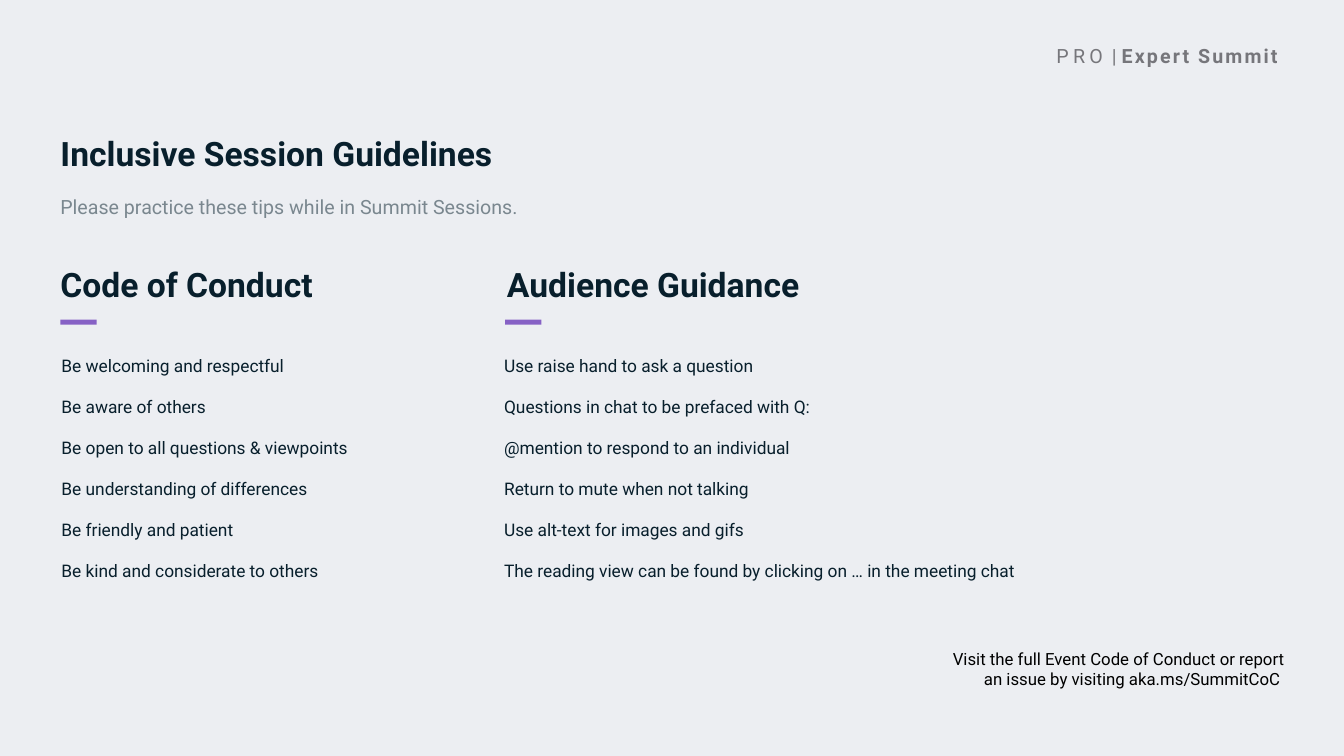
from dataclasses import dataclass

from lxml import etree
from pptx import Presentation
from pptx.dml.color import RGBColor
from pptx.enum import shapes, text
from pptx.oxml import ns
from pptx.util import Inches, Pt

FACE = "Roboto"
NAVY = RGBColor(0x08, 0x1F, 0x2C)
SLATE = RGBColor(0x7A, 0x87, 0x8F)
GRAY = RGBColor(0x76, 0x76, 0x7B)
BLACK = RGBColor(0, 0, 0)
PURPLE = RGBColor(0x86, 0x61, 0xC5)
PALE = RGBColor(0xEC, 0xEE, 0xF2)


@dataclass
class Column:
    title: str
    left: float
    bar: float
    list_left: float
    list_width: float
    items: list[str]


COLUMNS = [
    Column("Code of Conduct", 0.5, 0.6, 0.51, 3.94, [
        "Be welcoming and respectful",
        "Be aware of others",
        "Be open to all questions & viewpoints",
        "Be understanding of differences",
        "Be friendly and patient",
        "Be kind and considerate to others",
    ]),
    Column("Audience Guidance", 4.93, 5.01, 4.9, 7.57, [
        "Use raise hand to ask a question",
        "Questions in chat to be prefaced with Q:",
        "@mention to respond to an individual",
        "Return to mute when not talking",
        "Use alt-text for images and gifs",
        "The reading view can be found by clicking on … in the meeting chat",
    ]),
]


def style(para, size: float, color: RGBColor, bold: bool = False) -> None:
    font = para.font
    font.name, font.size, font.bold = FACE, Pt(size), bold
    font.color.rgb = color


def place(shape, left: float, top: float, width: float, height: float) -> None:
    shape.left, shape.top = Inches(left), Inches(top)
    shape.width, shape.height = Inches(width), Inches(height)


def add_box(slide, left: float, top: float, width: float, height: float):
    box = slide.shapes.add_textbox(
        Inches(left), Inches(top), Inches(width), Inches(height))
    box.text_frame.word_wrap = True
    return box


def fill_line(shape, words: str, size: float, color: RGBColor, bold: bool) -> None:
    frame = shape.text_frame
    frame.text = words
    frame.auto_size = text.MSO_AUTO_SIZE.NONE
    frame.vertical_anchor = text.MSO_ANCHOR.MIDDLE
    para = frame.paragraphs[0]
    para.alignment = text.PP_ALIGN.LEFT
    para.line_spacing = 0.9
    style(para, size, color, bold)


def fill_list(shape, items: list[str]) -> None:
    frame = shape.text_frame
    frame.text = "\n".join(items)
    frame.auto_size = text.MSO_AUTO_SIZE.NONE
    frame.vertical_anchor = text.MSO_ANCHOR.TOP
    for row, para in enumerate(frame.paragraphs):
        para.line_spacing = 1.3
        para.space_before = Pt(10 if row else 0)
        props = para._p.get_or_add_pPr()
        props.set("marL", "0")
        props.set("indent", "0")
        etree.SubElement(props, ns.qn("a:buNone"))
        style(para, 12.4, NAVY)


def add_column(slide, holder, col: Column) -> None:
    head = add_box(slide, col.left, 2.53, 5.08, 0.62)
    fill_line(head, col.title, 24, NAVY, True)
    place(holder, col.list_left, 3.41, col.list_width, 2.5)
    fill_list(holder, col.items)
    bar = slide.shapes.add_shape(
        shapes.MSO_SHAPE.RECTANGLE,
        Inches(col.bar), Inches(3.17), Inches(0.36), Inches(0.05))
    bar.shadow.inherit = False
    bar.fill.solid()
    bar.fill.fore_color.rgb = PURPLE
    bar.line.fill.background()


def add_header(slide) -> None:
    frame = add_box(slide, 10.38, 0.39, 2.54, 0.34).text_frame
    frame.word_wrap = False
    para = frame.paragraphs[0]
    style(para, 14, GRAY)
    for words, gap, bold in (
            ("PRO", 3, False), (" | ", 0, False), ("Expert Summit", 1.5, True)):
        run = para.add_run()
        run.text = words
        run.font.bold = bold
        run._r.get_or_add_rPr().set("spc", str(int(gap * 100)))


def main() -> None:
    deck = Presentation()
    deck.slide_width, deck.slide_height = Inches(13.33), Inches(7.5)
    slide = deck.slides.add_slide(deck.slide_layouts.get_by_name("Two Content"))
    slide.background.fill.solid()
    slide.background.fill.fore_color.rgb = PALE

    # Header and title
    add_header(slide)
    title, *lists = slide.placeholders
    place(title, 0.5, 1.23, 12.33, 0.62)
    fill_line(title, "Inclusive Session Guidelines", 24, NAVY, True)
    intro = add_box(slide, 0.5, 1.87, 12.33, 0.4)
    fill_line(intro, "Please practice these tips while in Summit Sessions.",
              14, SLATE, False)

    # Guideline columns
    for holder, col in zip(lists, COLUMNS):
        add_column(slide, holder, col)

    # Closing note
    note = add_box(slide, 9.26, 6.39, 3.58, 0.74).text_frame
    note.text = ("Visit the full Event Code of Conduct or report an issue "
                 "by visiting aka.ms/SummitCoC ")
    note.paragraphs[0].alignment = text.PP_ALIGN.RIGHT
    style(note.paragraphs[0], 12, BLACK)

    deck.save("out.pptx")


if __name__ == "__main__":
    main()
